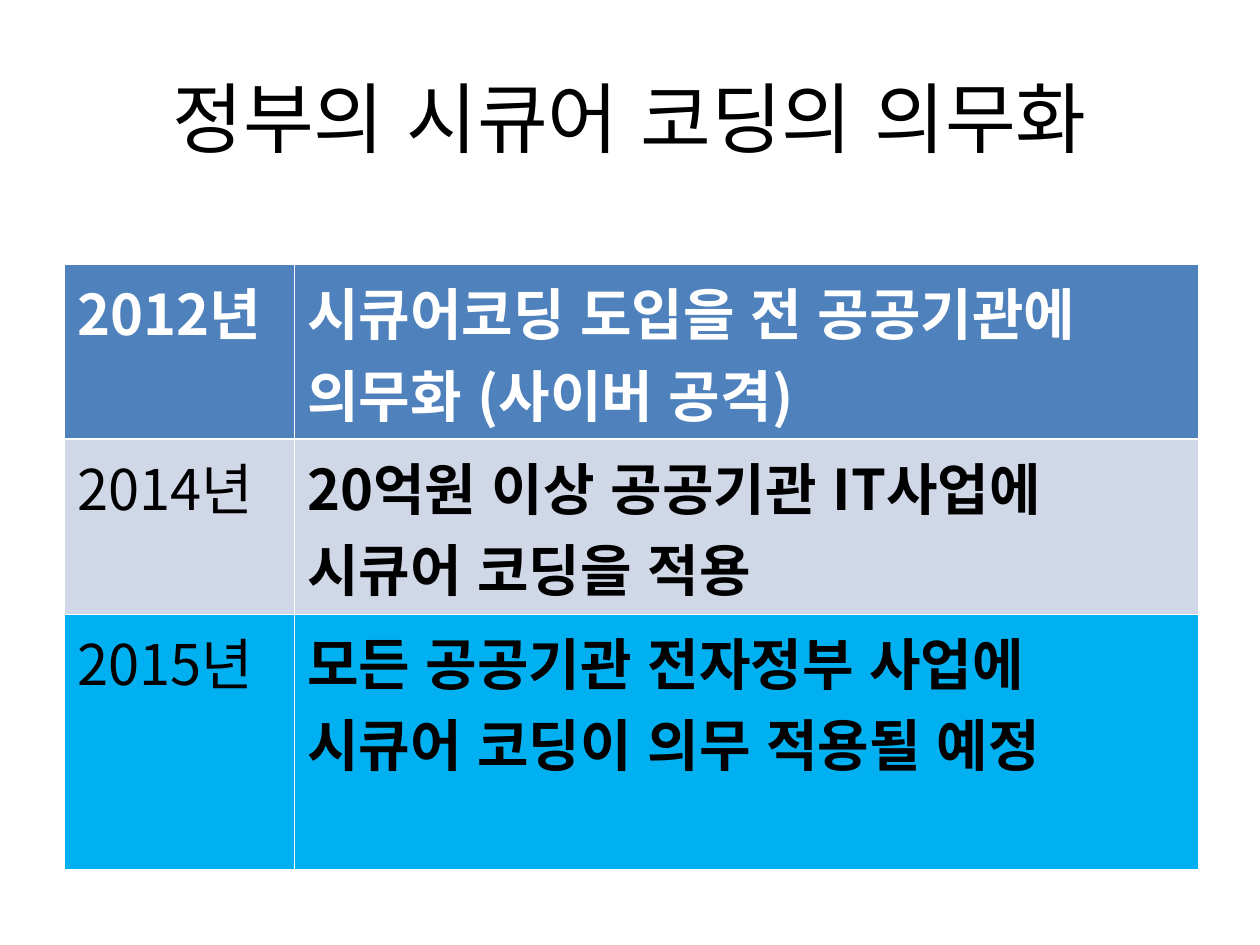
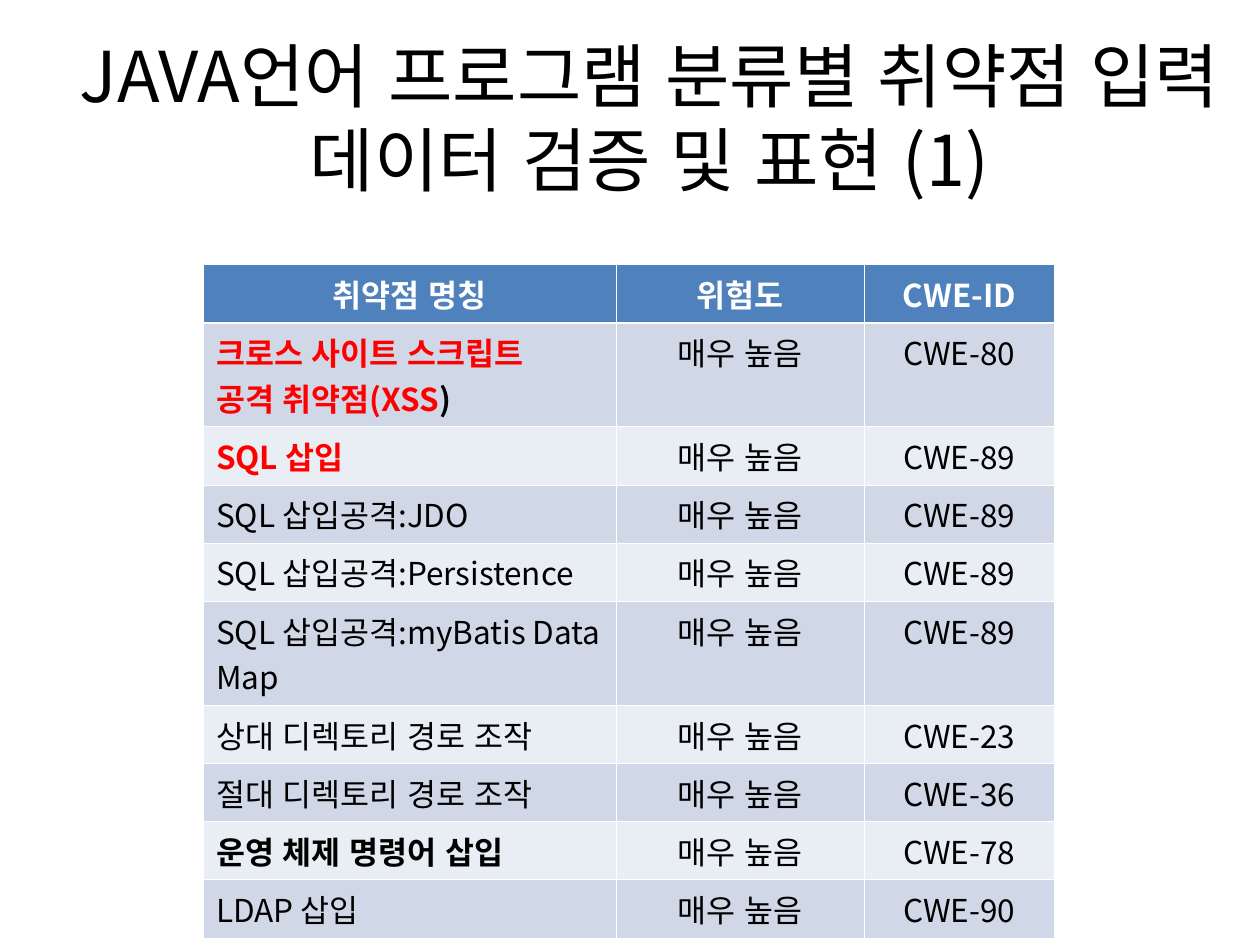
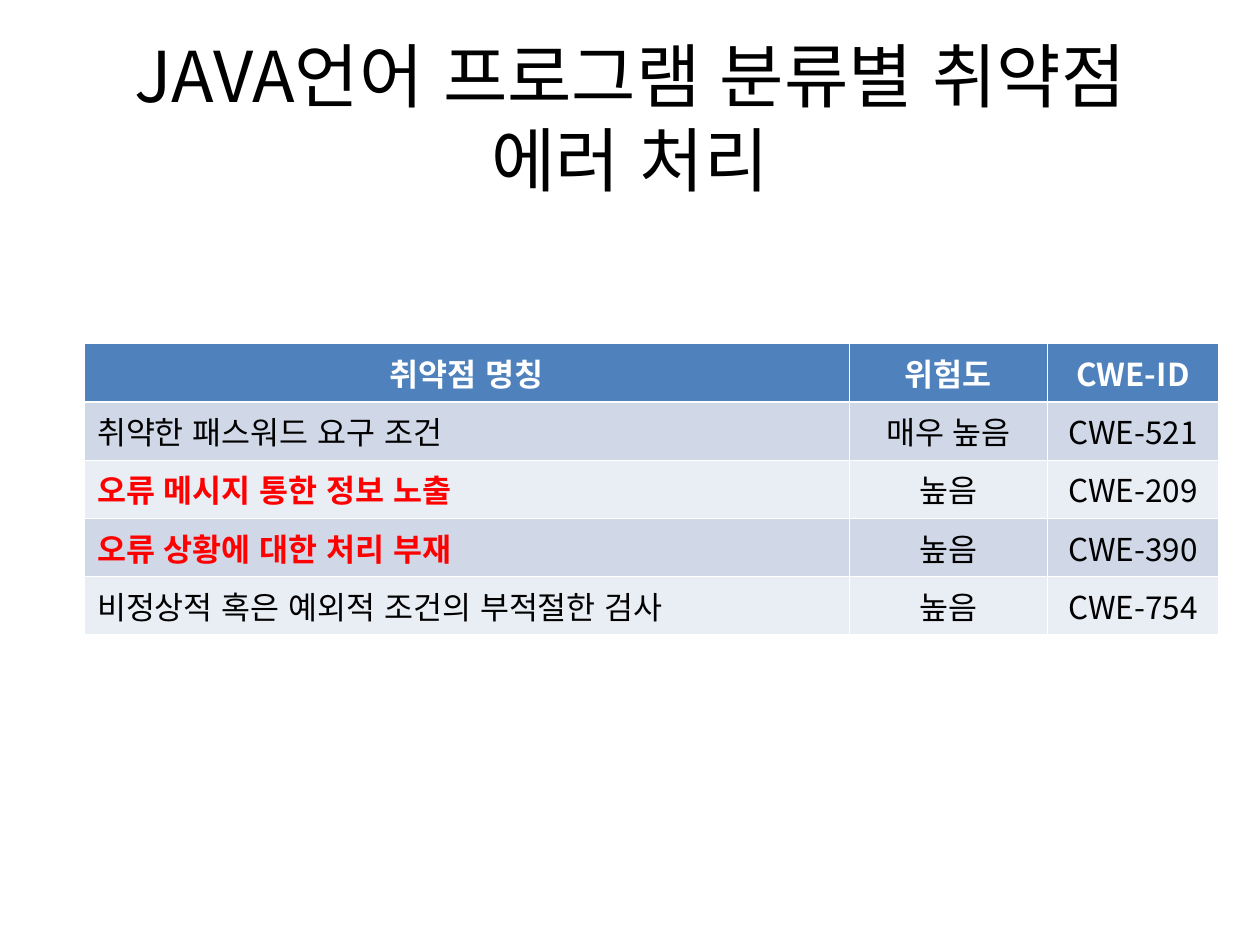
import pptx
import pptx.dml.color
import pptx.enum.lang
import pptx.enum.text
import pptx.oxml.ns
import pptx.util
from dataclasses import dataclass
from lxml import etree

COLUMNS, ROWS = 100, 75
FONT = "Noto Sans CJK KR"
BLACK, WHITE, RED = "000000", "FFFFFF", "FF0000"
HEADER, BAND_DARK, BAND_LIGHT, HIGHLIGHT = "4F81BD", "D0D8E8", "E9EDF4", "00B0F0"
THIN, THICK = 0.45, 1.47
ONE_LINE, TWO_LINES = 4.62, 8.25
LEFT, CENTER = pptx.enum.text.PP_ALIGN.LEFT, pptx.enum.text.PP_ALIGN.CENTER


@dataclass
class Span:
    text: str
    bold: bool = False
    color: str = BLACK


def rgb(code):
    return pptx.dml.color.RGBColor.from_string(code)


def alert(text):
    return Span(text, True, RED)


def strong(text):
    return Span(text, True)


def header(text):
    return Span(text, True, WHITE)


def lines(*spans):
    """Cell content with one paragraph for each span."""
    return [[span] for span in spans]


class Deck:
    def __init__(self):
        self.deck = pptx.Presentation()
        self.deck.slide_width = pptx.util.Inches(10)
        self.deck.slide_height = pptx.util.Inches(7.5)
        self.page = None

    def across(self, columns):
        return round(self.deck.slide_width * columns / COLUMNS)

    def down(self, rows):
        return round(self.deck.slide_height * rows / ROWS)

    def add_page(self):
        self.page = self.deck.slides.add_slide(self.deck.slide_layouts[6])

    def add_span(self, para, span, size):
        run = para.add_run()
        run.text = span.text
        font = run.font
        font.size, font.bold, font.name = pptx.util.Pt(size), span.bold, FONT
        font.color.rgb = rgb(span.color)
        font.language_id = pptx.enum.lang.MSO_LANGUAGE_ID.KOREAN
        east_asian = etree.SubElement(run._r.get_or_add_rPr(), pptx.oxml.ns.qn("a:ea"))
        east_asian.set("typeface", FONT)

    def title(self, *title_lines, size=40, width=90):
        box = self.page.shapes.add_textbox(
            self.across(5), self.down(3), self.across(width), self.down(12.5))
        frame = box.text_frame
        frame.word_wrap = True
        frame.vertical_anchor = pptx.enum.text.MSO_ANCHOR.MIDDLE
        para = frame.paragraphs[0]
        para.alignment = CENTER
        for index, line in enumerate(title_lines):
            if index:
                para.add_line_break()
            self.add_span(para, Span(line), size)

    def borders(self, cell, row):
        """White grid lines, with a thicker one below the header row."""
        widths = {"L": THIN, "R": THIN,
                  "T": THICK if row == 1 else THIN,
                  "B": THICK if row == 0 else THIN}
        properties = cell._tc.get_or_add_tcPr()
        for index, (side, width) in enumerate(widths.items()):
            line = etree.Element(pptx.oxml.ns.qn(f"a:ln{side}"), w=str(pptx.util.Pt(width)))
            fill = etree.SubElement(line, pptx.oxml.ns.qn("a:solidFill"))
            etree.SubElement(fill, pptx.oxml.ns.qn("a:srgbClr"), val=WHITE)
            properties.insert(index, line)

    def fill_cell(self, cell, paragraphs, size, alignment):
        frame = cell.text_frame
        for index, spans in enumerate(paragraphs):
            para = frame.add_paragraph() if index else frame.paragraphs[0]
            para.alignment = alignment
            for span in spans:
                self.add_span(para, span, size)

    def table(self, left, top, widths, heights, cells, fills, size, align):
        """Draw cells; align(row, column) gives the alignment of each."""
        frame = self.page.shapes.add_table(
            len(heights), len(widths), self.across(left), self.down(top),
            self.across(sum(widths)), self.down(sum(heights)))
        table = frame.table
        table.first_row = table.horz_banding = False
        for column, width in zip(table.columns, widths):
            column.width = self.across(width)
        for row, height in zip(table.rows, heights):
            row.height = self.down(height)
        for r, (contents, color) in enumerate(zip(cells, fills)):
            for c, paragraphs in enumerate(contents):
                cell = table.cell(r, c)
                cell.fill.solid()
                cell.fill.fore_color.rgb = rgb(color)
                self.borders(cell, r)
                self.fill_cell(cell, paragraphs, size, align(r, c))

    def weakness_table(self, left, top, widths, weaknesses, tall_rows=()):
        """Table of (name paragraphs, risk, CWE number) under a fixed header."""
        cells = [[lines(header(label)) for label in ("취약점 명칭", "위험도", "CWE-ID")]]
        cells += [[name, lines(Span(risk)), lines(Span(f"CWE-{number}"))]
                  for name, risk, number in weaknesses]
        fills = [HEADER] + [(BAND_DARK, BAND_LIGHT)[i % 2] for i in range(len(weaknesses))]
        heights = [TWO_LINES if row in tall_rows else ONE_LINE for row in range(len(cells))]
        self.table(left, top, widths, heights, cells, fills, 18,
                   lambda row, column: LEFT if row and column == 0 else CENTER)


def mandate_page(deck):
    deck.add_page()
    deck.title("정부의 시큐어 코딩의 의무화", size=44)
    cells = [
        [lines(header("2012년")),
         lines(header("시큐어코딩 도입을 전 공공기관에 의무화 (사이버 공격)"))],
        [lines(Span("2014년")),
         lines(strong("20억원 이상 공공기관 IT사업에"), strong("시큐어 코딩을 적용"))],
        [lines(Span("2015년")),
         lines(strong("모든 공공기관 전자정부 사업에"), strong("시큐어 코딩이 의무 적용될 예정"))],
    ]
    deck.table(5.12, 21, [18.25, 71.75], [13.85, 13.9, 20.25], cells,
               [HEADER, BAND_DARK, HIGHLIGHT], 32, lambda row, column: LEFT)


def input_page(deck):
    deck.add_page()
    deck.title("JAVA언어 프로그램 분류별 취약점 입력 데이터 검증 및 표현 (1)", width=93.1)
    names = [
        ([[alert("크로스 사이트 스크립트")], [alert("공격 취약점(XSS"), strong(")")]], 80),
        (lines(alert("SQL 삽입")), 89),
        (lines(Span("SQL 삽입공격:JDO")), 89),
        (lines(Span("SQL 삽입공격:Persistence")), 89),
        (lines(Span("SQL 삽입공격:myBatis Data Map")), 89),
        (lines(Span("상대 디렉토리 경로 조작")), 23),
        (lines(Span("절대 디렉토리 경로 조작")), 36),
        (lines(strong("운영 체제 명령어 삽입")), 78),
        (lines(Span("LDAP 삽입")), 90),
    ]
    deck.weakness_table(16.15, 21, [32.75, 19.7, 15.1],
                        [(name, "매우 높음", number) for name, number in names],
                        tall_rows=(1, 5))


def error_page(deck):
    deck.add_page()
    deck.title("JAVA언어 프로그램 분류별 취약점", "에러 처리")
    deck.weakness_table(6.7, 27.27, [60.7, 15.75, 13.55], [
        (lines(Span("취약한 패스워드 요구 조건")), "매우 높음", 521),
        (lines(alert("오류 메시지 통한 정보 노출")), "높음", 209),
        (lines(alert("오류 상황에 대한 처리 부재")), "높음", 390),
        (lines(Span("비정상적 혹은 예외적 조건의 부적절한 검사")), "높음", 754),
    ])


def main():
    deck = Deck()
    for build in (mandate_page, input_page, error_page):
        build(deck)
    deck.deck.save("out.pptx")


if __name__ == "__main__":
    main()
